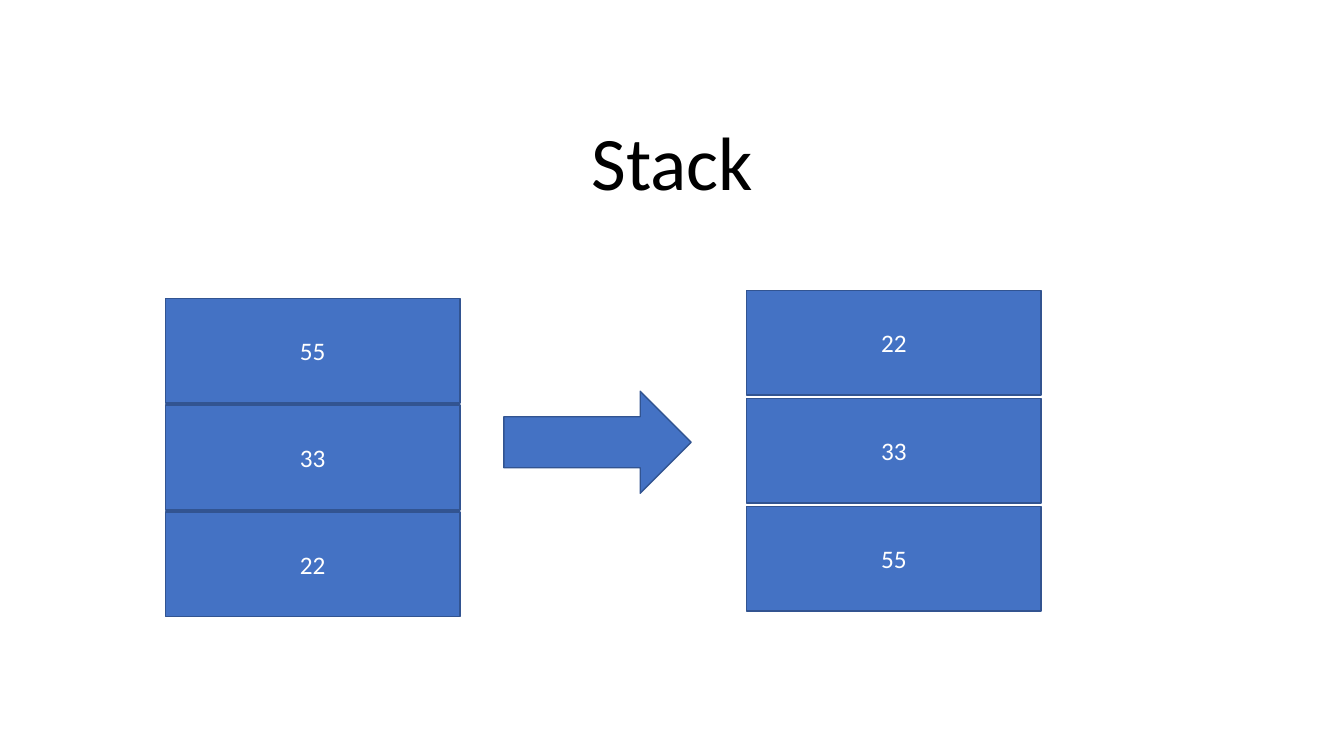
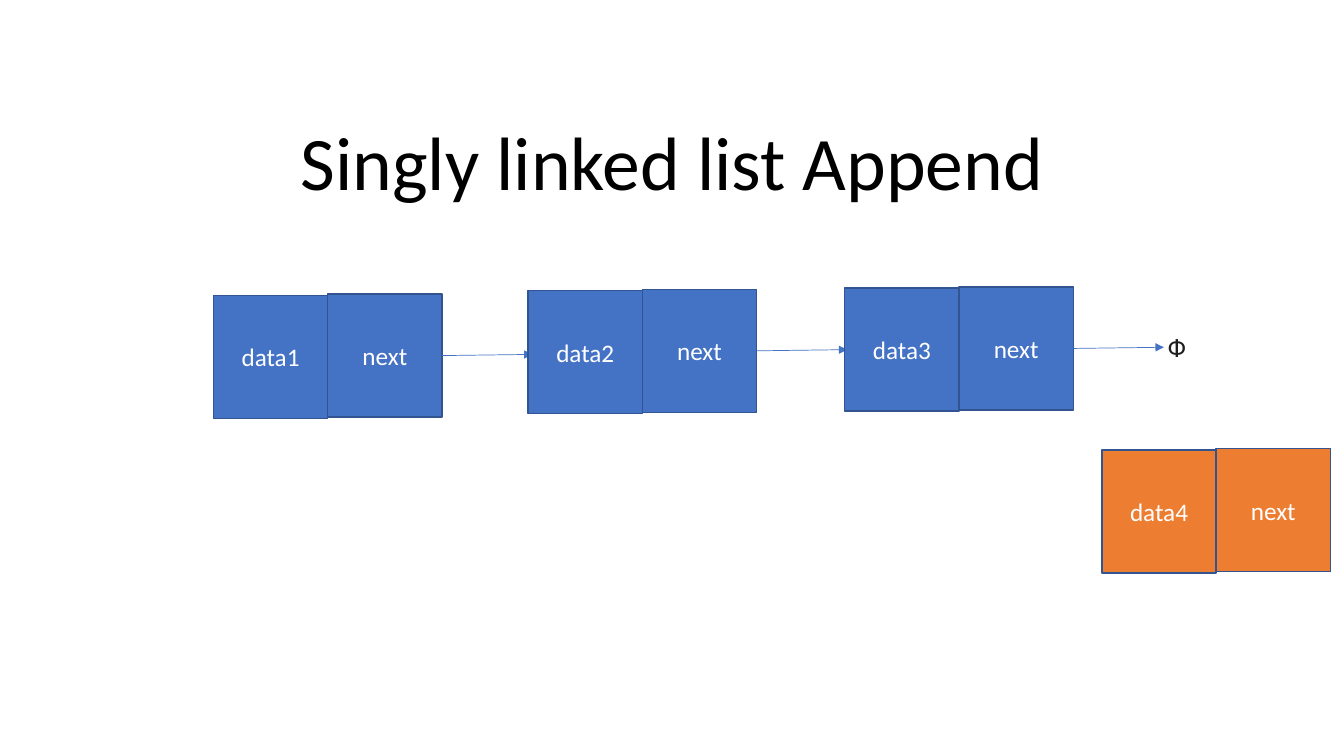
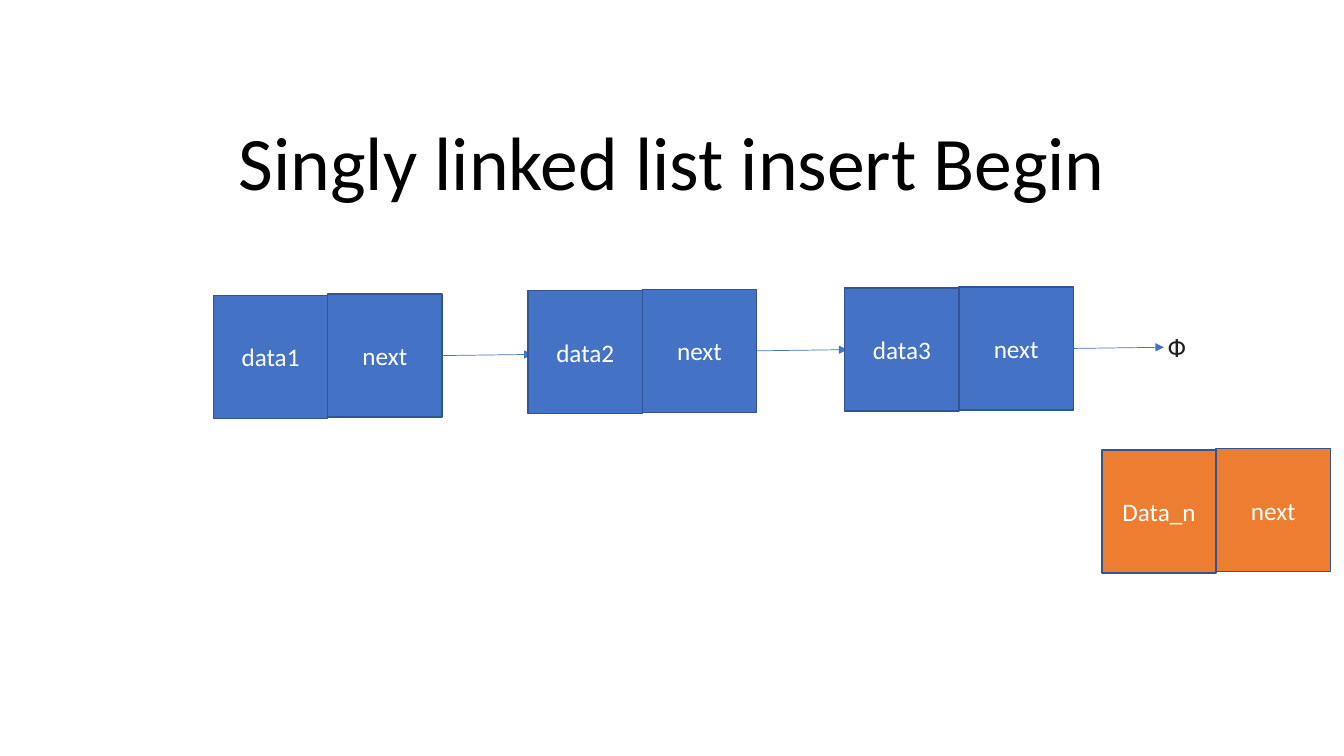
from dataclasses import dataclass

from lxml.etree import SubElement
from pptx import Presentation
from pptx.dml.color import RGBColor
from pptx.enum.shapes import MSO_CONNECTOR, MSO_SHAPE
from pptx.enum.text import MSO_ANCHOR, PP_ALIGN
from pptx.oxml.ns import qn
from pptx.util import Cm, Pt


@dataclass(frozen=True)
class Theme:
    """Colours, fonts and type sizes shared by all slides."""
    blue: str = "4472C4"
    orange: str = "ED7D31"
    outline: str = "325491"
    white: str = "FFFFFF"
    black: str = "000000"
    ink: str = "1F1F1F"
    font: str = "Calibri"
    symbol_font: str = "Roboto"
    title_size: int = 54
    body_size: int = 18


THEME = Theme()

# Sizes in centimetres
STACK_CELL = (7.42, 2.64)
NODE_CELL = (2.88, 3.1)
NEXT_LIFT = 0.03
LINK_LENGTH = 2.28
LINK_RISE = 0.03


def colour(value):
    return RGBColor.from_string(value)


def write(box, text, size, color, font=THEME.font, align=PP_ALIGN.CENTER,
          anchor=MSO_ANCHOR.MIDDLE):
    """Put one styled paragraph into a box and return it."""
    frame = box.text_frame
    frame.word_wrap = True
    frame.vertical_anchor = anchor
    para = frame.paragraphs[0]
    para.text = text
    para.alignment = align
    para.font.name = font
    para.font.size = Pt(size)
    para.font.color.rgb = colour(color)
    return para


def add_title(page, text):
    box = page.shapes.add_textbox(Cm(4.24), Cm(3.12), Cm(25.4), Cm(2.21))
    para = write(box, text, THEME.title_size, THEME.black,
                 anchor=MSO_ANCHOR.BOTTOM)
    para.line_spacing = 0.9


def add_block(page, kind, left, top, width, height, fill=THEME.blue):
    """Draw a filled, outlined preset shape."""
    block = page.shapes.add_shape(kind, Cm(left), Cm(top), Cm(width), Cm(height))
    block.shadow.inherit = False
    block.fill.solid()
    block.fill.fore_color.rgb = colour(fill)
    block.line.color.rgb = colour(THEME.outline)
    block.line.width = Pt(1)
    return block


def add_cell(page, text, left, top, size, fill=THEME.blue):
    cell = add_block(page, MSO_SHAPE.RECTANGLE, left, top, *size, fill)
    write(cell, text, THEME.body_size, THEME.white)
    return cell


def add_stack(page, values, left, top, pitch):
    """Pile up cells, listed from top to bottom."""
    for row, value in enumerate(values):
        add_cell(page, value, left, top + row * pitch, STACK_CELL)


def add_node(page, text, left, top, fill=THEME.blue):
    """Draw a data cell with its next cell; return the next cell."""
    add_cell(page, text, left, top, NODE_CELL, fill)
    return add_cell(page, "next", left + NODE_CELL[0], top - NEXT_LIFT,
                    NODE_CELL, fill)


def add_link(page, cell):
    """Draw an arrow from the right side of a next cell."""
    start_x = cell.left + cell.width
    start_y = cell.top + cell.height // 2
    link = page.shapes.add_connector(
        MSO_CONNECTOR.STRAIGHT, start_x, start_y,
        start_x + Cm(LINK_LENGTH), start_y - Cm(LINK_RISE))
    link.begin_connect(cell, 3)
    link.line.color.rgb = colour(THEME.blue)
    link.line.width = Pt(0.5)
    SubElement(link.line._get_or_add_ln(), qn("a:tailEnd"), type="triangle")
    SubElement(link._element.spPr, qn("a:effectLst"))


def add_page(deck, title):
    page = deck.slides.add_slide(deck.slide_layouts[6])
    add_title(page, title)
    return page


def add_stack_page(deck):
    page = add_page(deck, "Stack")
    values = ["55", "33", "22"]
    add_stack(page, values, 4.17, 7.52, 2.69)
    add_block(page, MSO_SHAPE.RIGHT_ARROW, 12.7, 9.86, 4.72, 2.57)
    add_stack(page, reversed(values), 18.82, 7.32, 2.72)


def add_list_page(deck, title, new_node):
    page = add_page(deck, title)
    # Linked nodes
    places = [(5.38, 7.44), (13.31, 7.32), (21.29, 7.26)]
    for number, (left, top) in enumerate(places, start=1):
        add_link(page, add_node(page, f"data{number}", left, top))
    # End of the list
    end_mark = page.shapes.add_textbox(Cm(29.18), Cm(8.25), Cm(3.58), Cm(1.02))
    write(end_mark, "Φ", THEME.body_size, THEME.ink, THEME.symbol_font,
          PP_ALIGN.LEFT, MSO_ANCHOR.TOP)
    # Node to be inserted
    add_node(page, new_node, 27.77, 11.34, THEME.orange)


def main():
    deck = Presentation()
    deck.slide_width, deck.slide_height = Cm(33.87), Cm(19.05)
    add_stack_page(deck)
    add_list_page(deck, "Singly linked list Append", "data4")
    add_list_page(deck, "Singly linked list insert Begin", "Data_n")
    deck.save("out.pptx")


if __name__ == "__main__":
    main()
